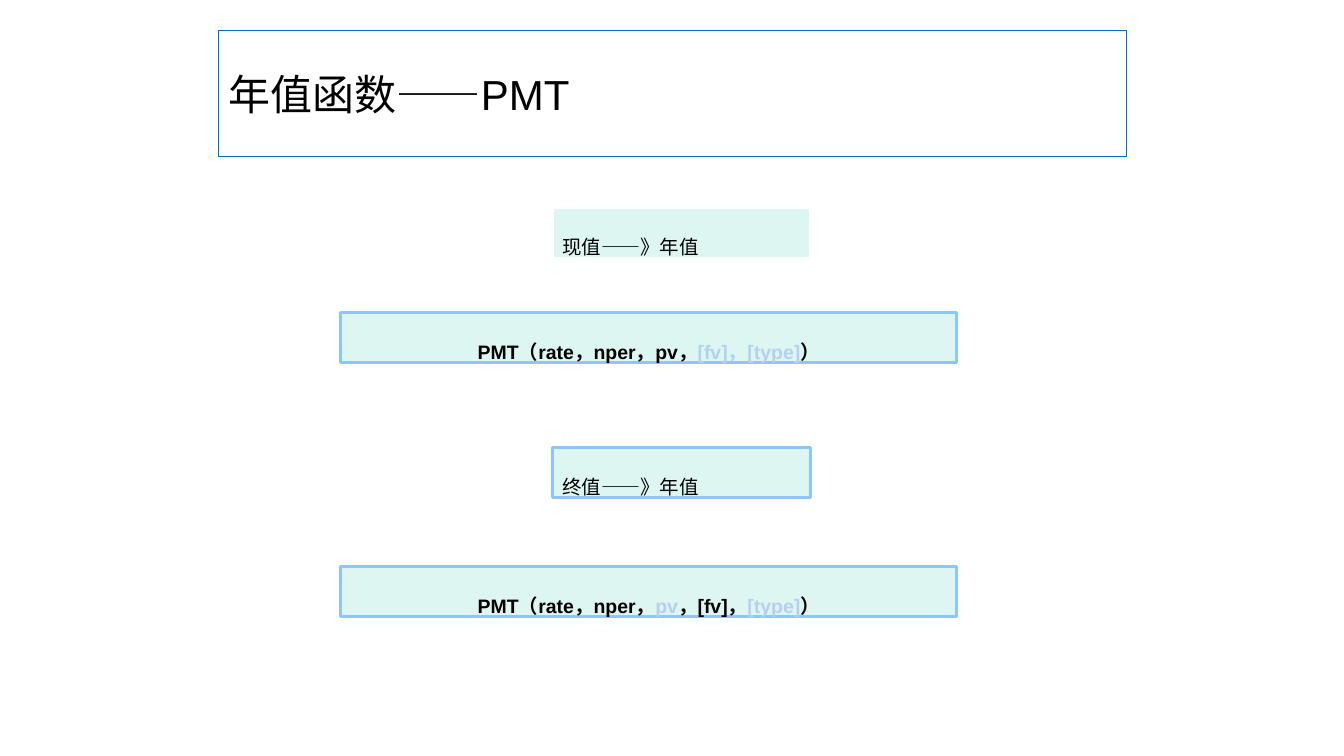
from pptx import Presentation
from pptx.dml.color import RGBColor
from pptx.enum.shapes import MSO_SHAPE
from pptx.enum.text import MSO_ANCHOR, MSO_AUTO_SIZE, PP_ALIGN
from pptx.util import Emu, Pt

PX = 9144  # one px is 1/100 inch
BLACK = "000000"
OPTIONAL = "B2D1F1"
PANEL = "DEF6F1"
BORDER = "8DC6FF"


def px(length):
    return Emu(length * PX)


def color(value):
    return RGBColor.from_string(value)


def place(shape, left, top, width, height):
    shape.left, shape.top = px(left), px(top)
    shape.width, shape.height = px(width), px(height)


def outline(shape, line_color, width):
    shape.line.color.rgb = color(line_color)
    shape.line.width = Pt(width)


def add_text(paragraph, text, size=24, fill=BLACK, bold=False, subscript=False):
    run = paragraph.add_run()
    run.text = text
    font = run.font
    font.name = "Arial"
    font.size = Pt(size)
    font.bold = bold
    font.color.rgb = color(fill)
    if subscript:
        run._r.get_or_add_rPr().set("baseline", "-25000")


def add_title(slide, text):
    title = slide.shapes.title
    place(title, 217, 30, 900, 125)
    outline(title, "0070C0", 0.75)
    title.text_frame.vertical_anchor = MSO_ANCHOR.MIDDLE
    paragraph = title.text_frame.paragraphs[0]
    paragraph.alignment = PP_ALIGN.LEFT
    add_text(paragraph, text, size=30)


def add_panel(slide, left, top, width, parts, border=BORDER,
              align=PP_ALIGN.LEFT, bold=False):
    panel = slide.shapes.add_shape(
        MSO_SHAPE.RECTANGLE, px(left), px(top), px(width), px(50))
    panel.shadow.inherit = False
    panel.fill.solid()
    panel.fill.fore_color.rgb = color(PANEL)
    outline(panel, border, 2)
    frame = panel.text_frame
    frame.word_wrap = False
    frame.auto_size = MSO_AUTO_SIZE.SHAPE_TO_FIT_TEXT
    frame.vertical_anchor = MSO_ANCHOR.TOP
    paragraph = frame.paragraphs[0]
    paragraph.alignment = align
    for text, fill in parts:
        add_text(paragraph, text, fill=fill, bold=bold, subscript=True)


def add_conversion(slide, top, text, border=BORDER):
    add_panel(slide, 548, top, 256, [(text, BLACK)], border=border)


def add_formula(slide, top, parts):
    add_panel(slide, 338, top, 611, parts, align=PP_ALIGN.CENTER, bold=True)


def main():
    prs = Presentation()
    prs.slide_width, prs.slide_height = px(1333), px(750)
    slide = prs.slides.add_slide(prs.slide_layouts[5])

    add_title(slide, "年值函数——PMT")

    # Conversions to annual value
    add_conversion(slide, 206, "现值——》年值", border="FFFFFF")
    add_conversion(slide, 444, "终值——》年值")

    # Function calls, with the unused arguments paled
    add_formula(slide, 310, [
        ("PMT（rate，nper，pv，", BLACK),
        ("[fv]，[type]", OPTIONAL),
        ("）", BLACK),
    ])
    add_formula(slide, 562, [
        ("PMT（rate，nper，", BLACK),
        ("pv", OPTIONAL),
        ("，[fv]，", BLACK),
        ("[type]", OPTIONAL),
        ("）", BLACK),
    ])

    prs.save("out.pptx")


if __name__ == "__main__":
    main()
